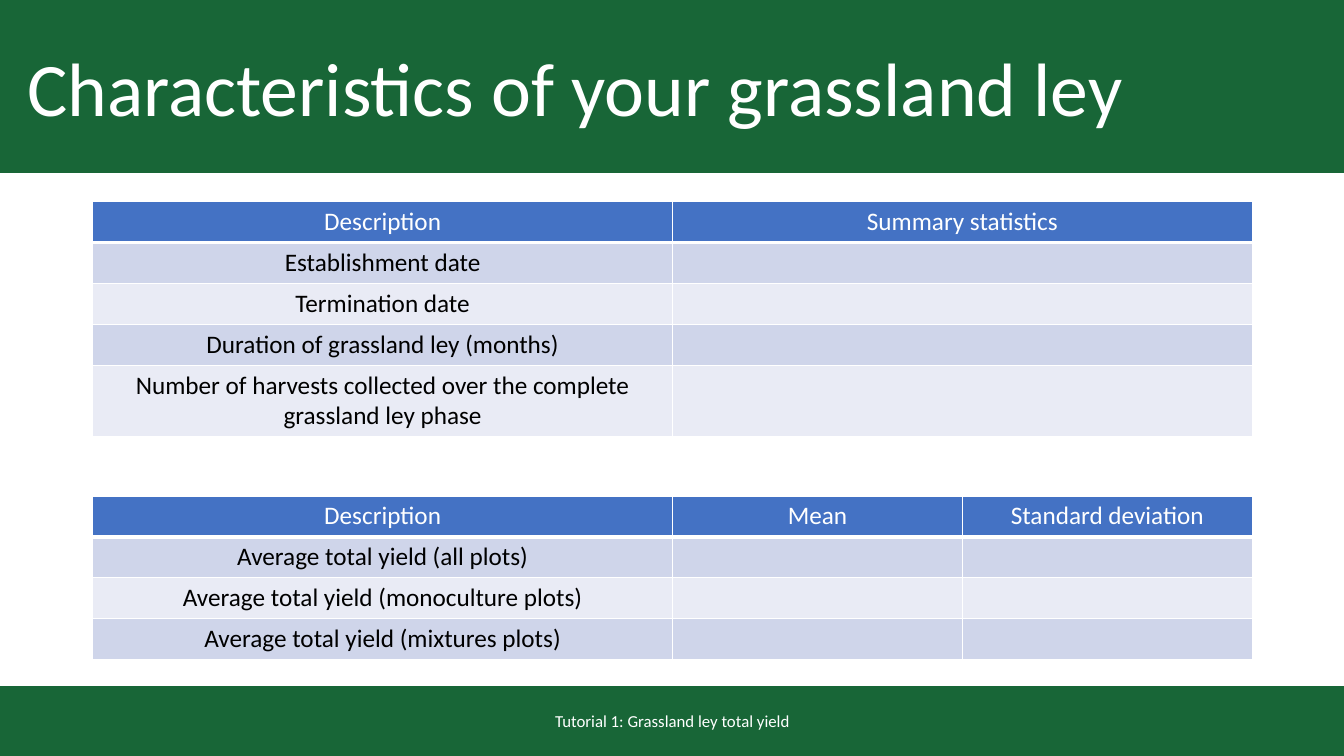
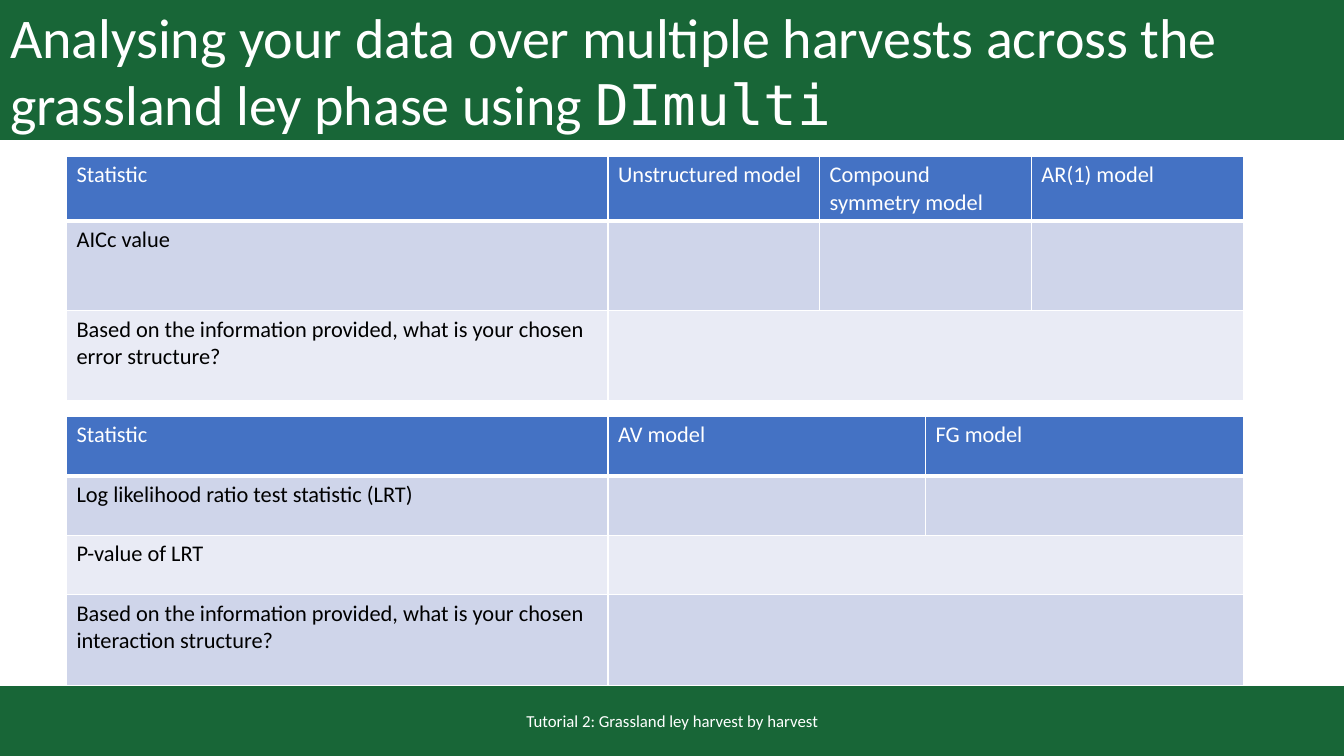
from lxml import etree
from pptx import Presentation
from pptx.dml.color import RGBColor
from pptx.enum.shapes import MSO_SHAPE
from pptx.enum.text import MSO_ANCHOR, MSO_AUTO_SIZE, PP_ALIGN
from pptx.oxml.ns import qn
from pptx.util import Inches, Pt

RECTANGLE = MSO_SHAPE.RECTANGLE
MIDDLE = MSO_ANCHOR.MIDDLE
NO_AUTOFIT = MSO_AUTO_SIZE.NONE
LEFT, CENTER = PP_ALIGN.LEFT, PP_ALIGN.CENTER

GREEN = RGBColor(0x18, 0x66, 0x37)
BLUE = RGBColor(0x44, 0x72, 0xC4)
BAND_DARK = RGBColor(0xCF, 0xD5, 0xEA)
BAND_LIGHT = RGBColor(0xE9, 0xEB, 0xF5)
WHITE = RGBColor(0xFF, 0xFF, 0xFF)
BLACK = RGBColor(0x00, 0x00, 0x00)

FONT = "Calibri"
CODE_FONT = "DejaVu Sans Mono"
SLIDE_WIDTH, SLIDE_HEIGHT = 13.33, 7.5
FOOTER_TOP = 6.81
TITLE_ONLY = 5


def write(paragraph, text, size=18, color=WHITE, font=FONT, align=LEFT):
    """Add one formatted run to a paragraph."""
    paragraph.alignment = align
    run = paragraph.add_run()
    run.text = text
    run.font.size = Pt(size)
    run.font.name = font
    run.font.bold = False
    run.font.color.rgb = color


def set_borders(cell, bottom_width):
    """Draw white borders; call before the cell is filled."""
    properties = cell._tc.get_or_add_tcPr()
    for side, width in (("L", 1), ("R", 1), ("T", 1), ("B", bottom_width)):
        line = etree.SubElement(properties, qn(f"a:ln{side}"), w=str(Pt(width)))
        fill = etree.SubElement(line, qn("a:solidFill"))
        etree.SubElement(fill, qn("a:srgbClr"), val=str(WHITE))


class Deck:
    """Holds the shared style and the current slide."""

    def __init__(self):
        self.presentation = Presentation()
        self.presentation.slide_width = Inches(SLIDE_WIDTH)
        self.presentation.slide_height = Inches(SLIDE_HEIGHT)
        self.slide = None

    def new_slide(self):
        layout = self.presentation.slide_layouts[TITLE_ONLY]
        self.slide = self.presentation.slides.add_slide(layout)

    def paint_green(self, shape):
        shape.fill.solid()
        shape.fill.fore_color.rgb = GREEN
        shape.line.color.rgb = GREEN
        shape.line.width = Pt(1)

    def title(self, text, height, size, code="", indent=0.1):
        """Title placeholder as a full-width band, with optional code text."""
        title = self.slide.shapes.title
        title.left, title.top = Inches(0), Inches(0)
        title.width, title.height = Inches(SLIDE_WIDTH), Inches(height)
        self.paint_green(title)
        frame = title.text_frame
        frame.word_wrap = True
        frame.auto_size = NO_AUTOFIT
        frame.vertical_anchor = MIDDLE
        frame.margin_left = Inches(indent)
        write(frame.paragraphs[0], text, size=size)
        if code:
            write(frame.paragraphs[0], code, size=size, font=CODE_FONT)

    def footer(self, text):
        band = self.slide.shapes.add_shape(
            RECTANGLE, Inches(0), Inches(FOOTER_TOP),
            Inches(SLIDE_WIDTH), Inches(SLIDE_HEIGHT - FOOTER_TOP))
        band.shadow.inherit = False
        self.paint_green(band)
        box = self.slide.shapes.add_textbox(
            Inches(4.42), Inches(6.95), Inches(4.5), Inches(0.4))
        frame = box.text_frame
        frame.word_wrap = True
        frame.vertical_anchor = MIDDLE
        write(frame.paragraphs[0], text, size=12, align=CENTER)

    def table(self, left, top, width, label_width, heights, headers, labels,
              size=18, align=LEFT, merged_rows=()):
        """Header row, then labels with empty answer cells of equal width."""
        columns = len(headers)
        table = self.slide.shapes.add_table(
            len(heights), columns, Inches(left), Inches(top),
            Inches(width), Inches(sum(heights))).table
        answer_width = (width - label_width) / (columns - 1)
        for index, column in enumerate(table.columns):
            column.width = Inches(answer_width if index else label_width)

        texts = [headers] + [[label] for label in labels]
        for row, (height, row_texts) in enumerate(zip(heights, texts)):
            table.rows[row].height = Inches(height)
            is_header = row == 0
            band = BAND_DARK if row % 2 else BAND_LIGHT
            for column in range(columns):
                cell = table.cell(row, column)
                set_borders(cell, 3 if is_header else 1)
                cell.fill.solid()
                cell.fill.fore_color.rgb = BLUE if is_header else band
                if column < len(row_texts):
                    write(cell.text_frame.paragraphs[0], row_texts[column],
                          size=size, align=align,
                          color=WHITE if is_header else BLACK)
            if row in merged_rows:
                table.cell(row, 1).merge(table.cell(row, columns - 1))


def build_characteristics(deck):
    deck.new_slide()
    deck.title("Characteristics of your grassland ley", 1.71, 54, indent=0.27)
    style = dict(left=0.92, width=11.5, label_width=5.75, align=CENTER)
    deck.table(
        top=2, heights=[0.4] * 4 + [0.71],
        headers=["Description", "Summary statistics"],
        labels=["Establishment date", "Termination date",
                "Duration of grassland ley (months)",
                "Number of harvests collected over the complete "
                "grassland ley phase"],
        **style)
    deck.table(
        top=4.92, heights=[0.4] * 4,
        headers=["Description", "Mean", "Standard deviation"],
        labels=["Average total yield (all plots)",
                "Average total yield (monoculture plots)",
                "Average total yield (mixtures plots)"],
        **style)
    deck.footer("Tutorial 1: Grassland ley total yield")


def build_analysis(deck):
    deck.new_slide()
    deck.title("Analysing your data over multiple harvests across the "
               "grassland ley phase using ", 1.38, 40, code="DImulti")
    style = dict(left=0.66, width=11.67, label_width=5.37, size=16)
    question = "Based on the information provided, what is your chosen {} structure?"
    deck.table(
        top=1.55, heights=[0.64, 0.89, 0.89],
        headers=["Statistic", "Unstructured model",
                 "Compound symmetry model", "AR(1) model"],
        labels=["AICc value", question.format("error")],
        merged_rows=(2,), **style)
    deck.footer("Tutorial 2: Grassland ley harvest by harvest")
    deck.table(
        top=4.13, heights=[0.59] * 3 + [0.9],
        headers=["Statistic", "AV model", "FG model"],
        labels=["Log likelihood ratio test statistic (LRT)", "P-value of LRT",
                question.format("interaction")],
        merged_rows=(2, 3), **style)


def main():
    deck = Deck()
    build_characteristics(deck)
    build_analysis(deck)
    deck.presentation.save("out.pptx")


if __name__ == "__main__":
    main()
